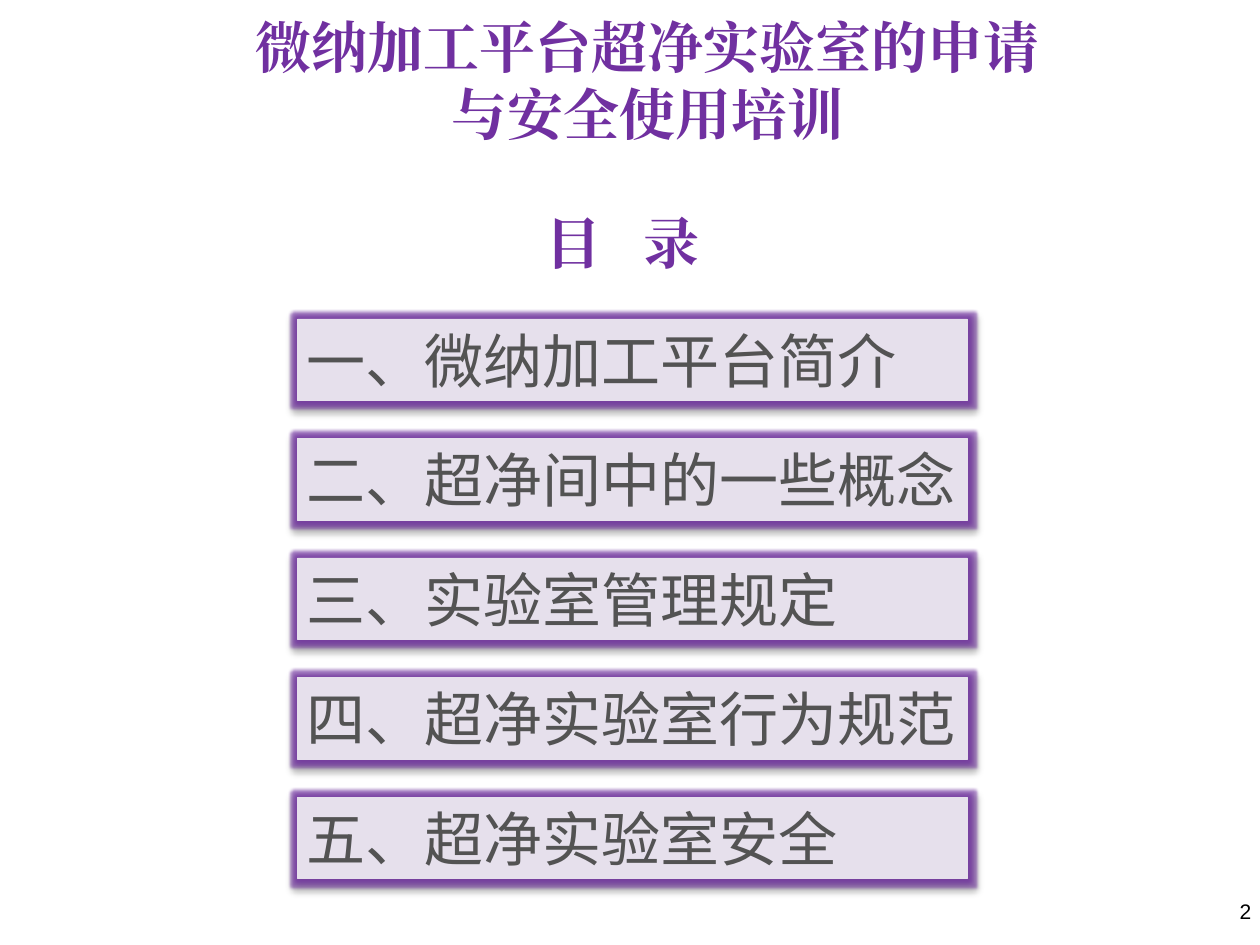
from dataclasses import dataclass

from lxml import etree
from pptx import Presentation
from pptx import util as u
from pptx.dml.color import RGBColor
from pptx.enum import shapes, text
from pptx.oxml import parse_xml
from pptx.oxml.ns import nsdecls, qn

COURSE = "微纳加工平台超净实验室的申请与安全使用培训"
HEADING = "目 录"
CHAPTERS = [
    "一、微纳加工平台简介",
    "二、超净间中的一些概念",
    "三、实验室管理规定",
    "四、超净实验室行为规范",
    "五、超净实验室安全",
]
PAGE = "2"


@dataclass(frozen=True)
class Theme:
    purple: str = "7030A0"
    lilac: str = "E6E0EC"
    grey: str = "535353"
    black: str = "000000"
    title_font: str = "Times New Roman"
    chapter_font: str = "Noto Sans CJK SC"
    page_font: str = "Arial"
    title_size: float = 45.5
    chapter_size: float = 48
    page_size: float = 17.1


THEME = Theme()
ROW_LEFT, ROW_TOP, ROW_W, ROW_H, ROW_PITCH = 3.36, 3.6, 7.56, 0.92, 1.35


def box(left, top, width, height):
    return [u.Inches(v) for v in (left, top, width, height)]


def write(sp, words, font, size, color, align, bold=False):
    """Fill a shape with one paragraph and return its font element."""
    tf = sp.text_frame
    tf.word_wrap = True
    tf.auto_size = text.MSO_AUTO_SIZE.NONE
    tf.vertical_anchor = text.MSO_ANCHOR.MIDDLE
    tf.margin_top = tf.margin_bottom = 0
    p = tf.paragraphs[0]
    p.text = words
    p.alignment = align
    p.font.name = font
    p.font.size = u.Pt(size)
    p.font.bold = bold
    p.font.color.rgb = RGBColor.from_string(color)
    props = p._p.pPr.find(qn("a:defRPr"))
    props.find(qn("a:latin")).addnext(
        etree.Element(qn("a:ea"), typeface=font))
    return props


def add_glow_and_shadow(sp):
    sp._element.spPr.append(parse_xml(
        f'<a:effectLst {nsdecls("a")}>'
        f'<a:glow rad="{u.Pt(5)}"><a:srgbClr val="{THEME.purple}">'
        '<a:alpha val="60000"/></a:srgbClr></a:glow>'
        f'<a:outerShdw blurRad="{u.Pt(4)}" dist="{u.Pt(3)}" dir="5400000" '
        f'rotWithShape="0"><a:srgbClr val="{THEME.black}">'
        '<a:alpha val="40000"/></a:srgbClr></a:outerShdw></a:effectLst>'))


def add_chapter(s, row, words):
    sp = s.shapes.add_shape(
        shapes.MSO_SHAPE.RECTANGLE,
        *box(ROW_LEFT, ROW_TOP + row * ROW_PITCH, ROW_W, ROW_H))
    sp.fill.solid()
    sp.fill.fore_color.rgb = RGBColor.from_string(THEME.lilac)
    sp.line.color.rgb = RGBColor.from_string(THEME.lilac)
    sp.line.width = u.Pt(0.5)
    add_glow_and_shadow(sp)
    props = write(sp, words, THEME.chapter_font, THEME.chapter_size,
                  THEME.grey, text.PP_ALIGN.LEFT)
    props.insert(0, parse_xml(
        f'<a:ln {nsdecls("a")} w="{u.Pt(0.75)}"><a:solidFill>'
        f'<a:srgbClr val="{THEME.purple}"/></a:solidFill></a:ln>'))


def main():
    prs = Presentation()
    prs.slide_width, prs.slide_height = u.Inches(14.22), u.Inches(10.67)
    s = prs.slides.add_slide(prs.slide_layouts[5])

    title = s.shapes.title
    title.left, title.top, title.width, title.height = box(5.69, 2.21, 2.68, 1.05)
    props = write(title, HEADING, THEME.title_font, THEME.title_size,
                  THEME.purple, text.PP_ALIGN.CENTER, bold=True)
    props.set("spc", "1140")

    for row, words in enumerate(CHAPTERS):
        add_chapter(s, row, words)

    course = s.shapes.add_textbox(*box(2.78, 0.37, 9.06, 1.05))
    write(course, COURSE, THEME.title_font, THEME.title_size,
          THEME.purple, text.PP_ALIGN.CENTER, bold=True)

    page = s.shapes.add_textbox(*box(10.9, 10, 3.32, 0.57))
    write(page, PAGE, THEME.page_font, THEME.page_size,
          THEME.black, text.PP_ALIGN.RIGHT)

    prs.save("out.pptx")


if __name__ == "__main__":
    main()
